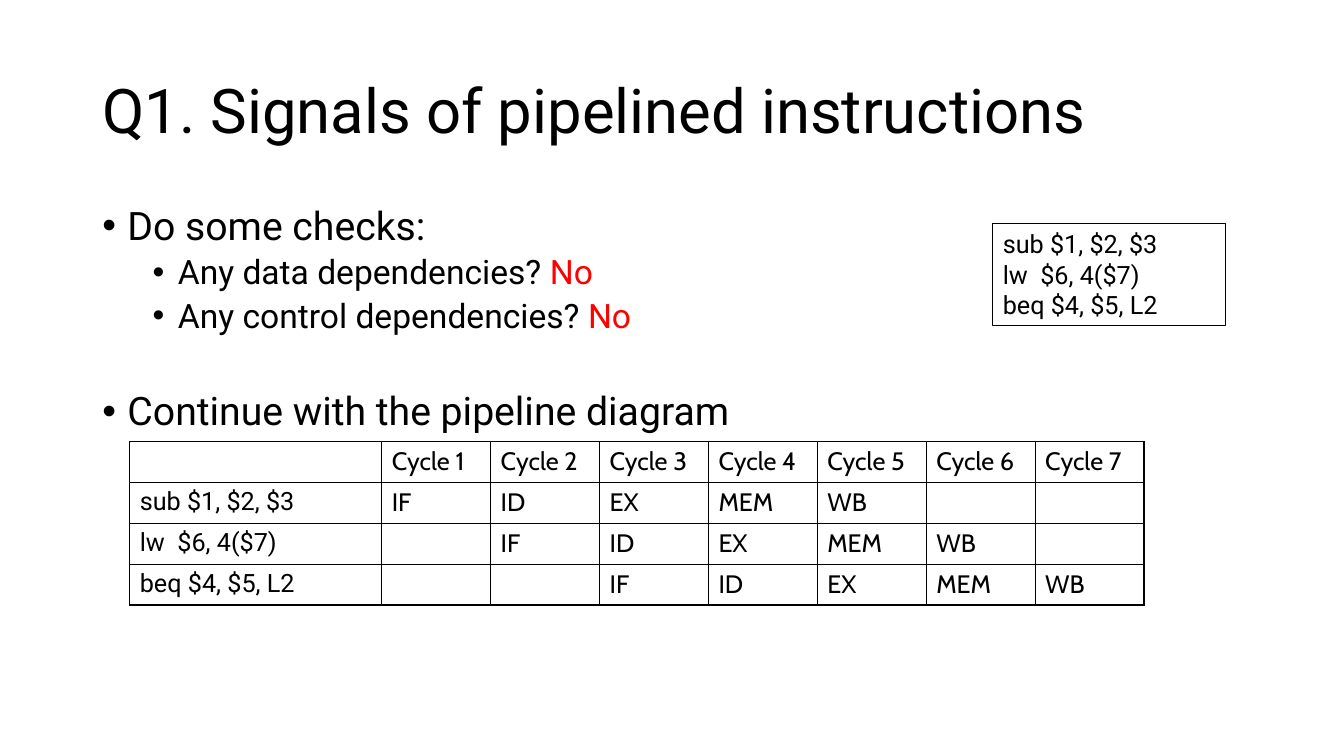
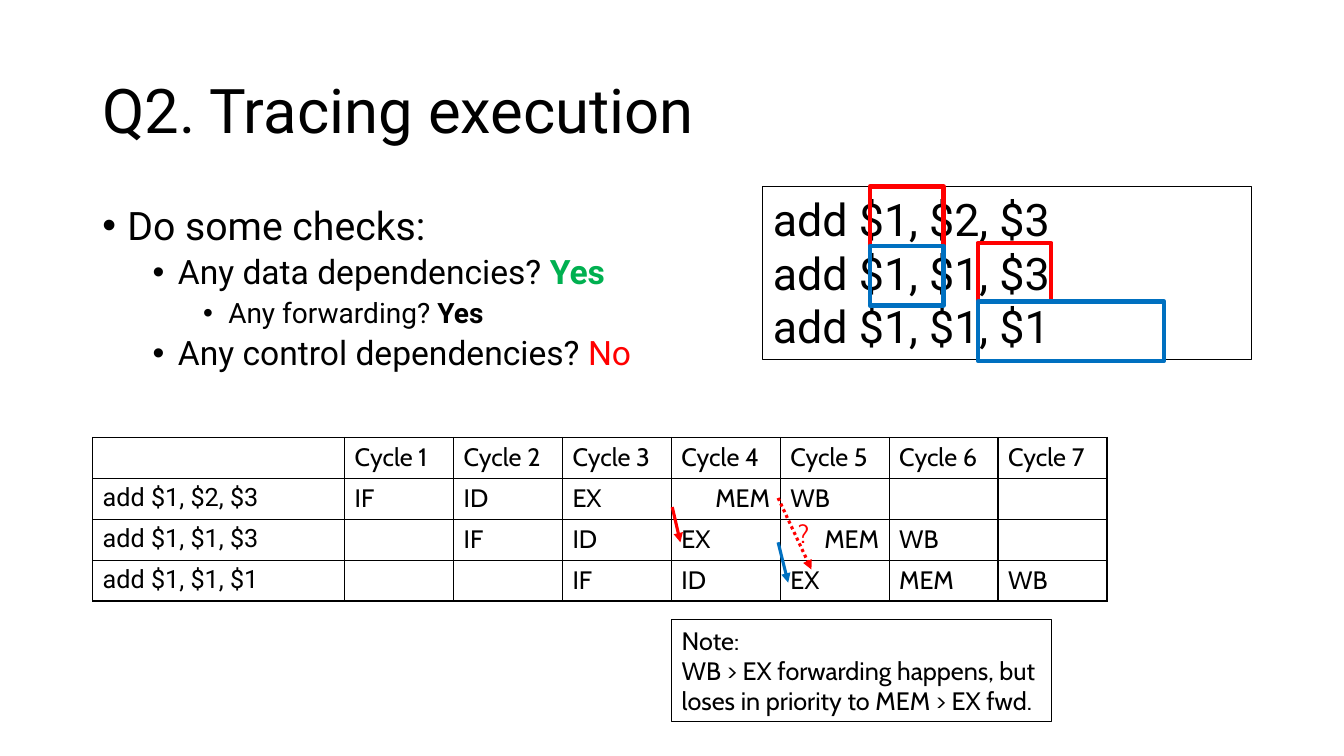
from dataclasses import dataclass
from typing import NamedTuple

from lxml import etree
from pptx import Presentation
from pptx.dml.color import RGBColor
from pptx.enum.dml import MSO_LINE
from pptx.enum.shapes import MSO_CONNECTOR, MSO_SHAPE
from pptx.enum.text import MSO_ANCHOR, PP_ALIGN
from pptx.oxml.ns import qn
from pptx.util import Pt

RECTANGLE = MSO_SHAPE.RECTANGLE
STRAIGHT = MSO_CONNECTOR.STRAIGHT
MIDDLE, TOP = MSO_ANCHOR.MIDDLE, MSO_ANCHOR.TOP
LEFT, RIGHT = PP_ALIGN.LEFT, PP_ALIGN.RIGHT
DOTTED = MSO_LINE.ROUND_DOT

BLACK, RED, BLUE, GREEN = "000000", "FF0000", "0070C0", "00B050"
TEXT_FONT, DIAGRAM_FONT = "Roboto", "Cabin"
STAGES = ["IF", "ID", "EX", "MEM", "WB"]
CYCLES = 7
CODE_WIDTH, CYCLE_WIDTH, ROW_HEIGHT = 180, 77.8, 29.2
LEVEL_SIZES = [28, 24, 20]


class Box(NamedTuple):
    left: float
    top: float
    width: float
    height: float


TITLE_BOX = Box(66, 28.8, 828, 104.4)
BODY_BOX = Box(66, 144, 828, 342.7)


@dataclass
class Bullet:
    text: str
    level: int = 0
    answer: str = ""
    color: str = BLACK
    bold: bool = False
    gap: float = 0


@dataclass
class Outline:
    box: Box
    color: str


@dataclass
class Arrow:
    start: tuple[float, float]
    end: tuple[float, float]
    color: str
    dotted: bool = False


def rgb(color: str) -> RGBColor:
    return RGBColor.from_string(color)


def style_font(font, size: float, name: str, color: str = BLACK) -> None:
    font.size = Pt(size)
    font.name = name
    font.color.rgb = rgb(color)


def add_text(page, box: Box, lines: list[str], size: float, name: str = TEXT_FONT,
             color: str = BLACK, anchor=TOP, spacing: float = 1.0):
    label = page.shapes.add_textbox(*map(Pt, box))
    fill_text(label.text_frame, lines, size, name, color, anchor, spacing)


def fill_text(frame, lines: list[str], size: float, name: str, color: str = BLACK,
              anchor=TOP, spacing: float = 1.0) -> None:
    frame.word_wrap = True
    frame.vertical_anchor = anchor
    for index, line in enumerate(lines):
        para = frame.paragraphs[0] if index == 0 else frame.add_paragraph()
        para.text = line
        para.alignment = LEFT
        para.line_spacing = spacing
        style_font(para.font, size, name, color)


def add_outline(page, box: Box, color: str, weight: float):
    shape = page.shapes.add_shape(RECTANGLE, *map(Pt, box))
    shape.shadow.inherit = False
    shape.fill.background()
    shape.line.color.rgb = rgb(color)
    shape.line.width = Pt(weight)
    return shape


def add_framed_text(page, box: Box, lines: list[str], size: float,
                    name: str = TEXT_FONT) -> None:
    shape = add_outline(page, box, BLACK, 0.75)
    fill_text(shape.text_frame, lines, size, name)


def add_bullets(page, bullets: list[Bullet]) -> None:
    frame = page.shapes.add_textbox(*map(Pt, BODY_BOX)).text_frame
    frame.word_wrap = True
    for index, bullet in enumerate(bullets):
        para = frame.paragraphs[0] if index == 0 else frame.add_paragraph()
        para.level = bullet.level
        para.line_spacing = 0.9
        para.space_before = Pt(bullet.gap + (5 if bullet.level else 10))
        style_font(para.font, LEVEL_SIZES[bullet.level], TEXT_FONT)
        properties = para._p.get_or_add_pPr()
        properties.set("marL", str(Pt(18 + 36 * bullet.level)))
        properties.set("indent", str(Pt(-18)))
        mark_font = etree.Element(qn("a:buFont"), typeface="Arial")
        mark = etree.Element(qn("a:buChar"), char="•")
        defaults = properties.find(qn("a:defRPr"))
        defaults.addprevious(mark_font)
        defaults.addprevious(mark)
        para.add_run().text = bullet.text
        if bullet.answer:
            span = para.add_run()
            span.text = bullet.answer
            span.font.color.rgb = rgb(bullet.color)
            span.font.bold = bullet.bold


def add_borders(cell) -> None:
    properties = cell._tc.get_or_add_tcPr()
    for side in ("lnL", "lnR", "lnT", "lnB"):
        line = etree.SubElement(properties, qn(f"a:{side}"), w=str(Pt(1)))
        fill = etree.SubElement(line, qn("a:solidFill"))
        etree.SubElement(fill, qn("a:srgbClr"), val=BLACK)


def add_pipeline(page, left: float, top: float, code: list[str],
                 right_aligned: tuple[tuple[int, int], ...] = ()) -> None:
    rows = [["", *(f"Cycle {cycle}" for cycle in range(1, CYCLES + 1))]]
    for delay, instruction in enumerate(code):
        stalls = [""] * (CYCLES - len(STAGES) - delay)
        rows.append([instruction, *[""] * delay, *STAGES, *stalls])
    widths = [CODE_WIDTH] + [CYCLE_WIDTH] * CYCLES
    box = Box(left, top, sum(widths), ROW_HEIGHT * len(rows))
    table = page.shapes.add_table(len(rows), len(widths), *map(Pt, box)).table
    table.first_row = table.horz_banding = False
    for column, width in zip(table.columns, widths):
        column.width = Pt(width)
    for row_index, row in enumerate(rows):
        table.rows[row_index].height = Pt(ROW_HEIGHT)
        for column_index, text in enumerate(row):
            cell = table.cell(row_index, column_index)
            add_borders(cell)
            cell.fill.background()
            cell.text = text
            para = cell.text_frame.paragraphs[0]
            at_right = (row_index, column_index) in right_aligned
            para.alignment = RIGHT if at_right else LEFT
            style_font(para.font, 18, DIAGRAM_FONT if column_index else TEXT_FONT)


def add_arrow(page, arrow: Arrow) -> None:
    ends = map(Pt, (*arrow.start, *arrow.end))
    connector = page.shapes.add_connector(STRAIGHT, *ends)
    connector.line.color.rgb = rgb(arrow.color)
    connector.line.width = Pt(2.25)
    if arrow.dotted:
        connector.line.dash_style = DOTTED
    line = connector.line._get_or_add_ln()
    etree.SubElement(line, qn("a:tailEnd"), type="triangle")
    etree.SubElement(connector._element.spPr, qn("a:effectLst"))


def add_page(deck, title: str, bullets: list[Bullet]):
    page = deck.slides.add_slide(deck.slide_layouts[6])
    add_text(page, TITLE_BOX, [title], 44, anchor=MIDDLE, spacing=0.9)
    add_bullets(page, bullets)
    return page


def build_signals(deck) -> None:
    code = ["sub $1, $2, $3", "lw  $6, 4($7)", "beq $4, $5, L2"]
    page = add_page(deck, "Q1. Signals of pipelined instructions", [
        Bullet("Do some checks:"),
        Bullet("Any data dependencies? ", 1, "No", RED),
        Bullet("Any control dependencies? ", 1, "No", RED),
        Bullet("Continue with the pipeline diagram", gap=30.5),
    ])
    add_framed_text(page, Box(709.2, 159.8, 166.3, 72.7), code, 18)
    add_pipeline(page, 92.7, 315.4, code)


def build_tracing(deck) -> None:
    code = ["add $1, $2, $3", "add $1, $1, $3", "add $1, $1, $1"]
    page = add_page(deck, "Q2. Tracing execution", [
        Bullet("Do some checks:"),
        Bullet("Any data dependencies? ", 1, "Yes", GREEN, True),
        Bullet("Any forwarding? ", 2, "Yes", BLACK, True),
        Bullet("Any control dependencies? ", 1, "No", RED),
    ])
    add_framed_text(page, Box(545, 133.2, 349.2, 123.8), code, 32)
    target, source, height = 621.4, 698.4, 42.5
    for outline in (
        Outline(Box(target, 133.2, 52.6, height), RED),
        Outline(Box(source, 173.5, 52.6, height), RED),
        Outline(Box(target, 175.7, 52.6, height), BLUE),
        Outline(Box(source, 215.3, 133.2, height), BLUE),
    ):
        add_outline(page, outline.box, outline.color, 3)
    add_pipeline(page, 66.2, 312.5, code, right_aligned=((1, 4), (2, 5)))
    add_text(page, Box(563, 366.5, 16.6, 28.8), ["?"], 18, DIAGRAM_FONT, RED)
    add_framed_text(page, Box(479.9, 442.8, 271.4, 72.7), [
        "Note:",
        "WB > EX forwarding happens, but loses in priority to MEM > EX fwd.",
    ], 18, DIAGRAM_FONT)
    for arrow in (
        Arrow((555.8, 355.7), (579.6, 406.8), RED, dotted=True),
        Arrow((480.2, 362.2), (486, 387.4), RED),
        Arrow((555.8, 387.4), (563, 416.2), BLUE),
    ):
        add_arrow(page, arrow)


def main() -> None:
    deck = Presentation()
    deck.slide_width, deck.slide_height = Pt(960), Pt(540)
    build_signals(deck)
    build_tracing(deck)
    deck.save("out.pptx")


if __name__ == "__main__":
    main()
